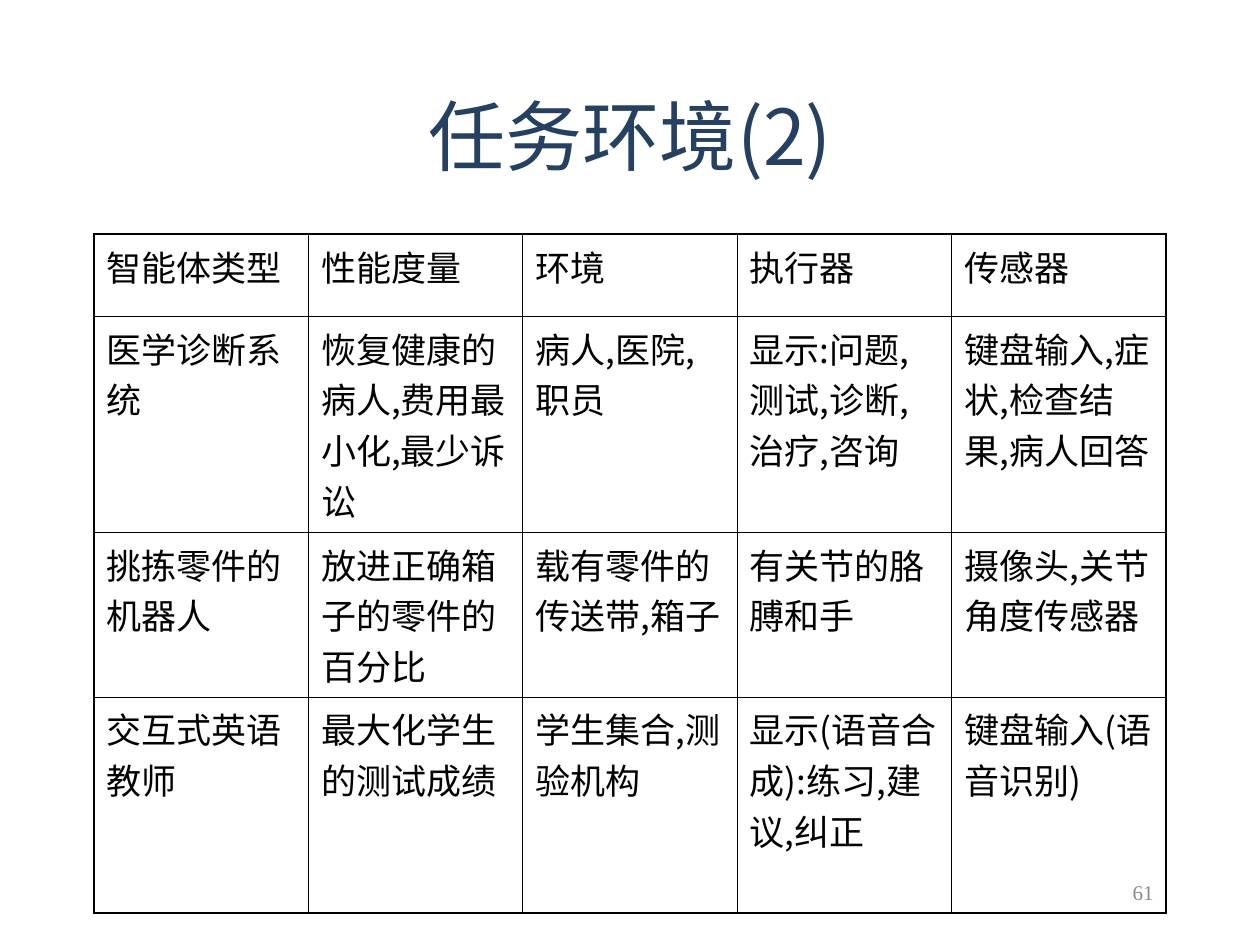
import pptx
import pptx.dml.color
import pptx.enum.text
import pptx.oxml.ns
import pptx.util
from lxml import etree

SCALE = 914400 / 126
CJK_FONT = "Noto Sans CJK SC"
THIN, THICK = 0.45, 1.08
ROW_HEIGHTS = [82, 216, 165, 216]
ROWS = [
    ["智能体类型", "性能度量", "环境", "执行器", "传感器"],
    ["医学诊断系统", "恢复健康的病人,费用最小化,最少诉讼", "病人,医院,职员",
     "显示:问题,测试,诊断,治疗,咨询", "键盘输入,症状,检查结果,病人回答"],
    ["挑拣零件的机器人", "放进正确箱子的零件的百分比", "载有零件的传送带,箱子",
     "有关节的胳膊和手", "摄像头,关节角度传感器"],
    ["交互式英语教师", "最大化学生的测试成绩", "学生集合,测验机构",
     "显示(语音合成):练习,建议,纠正", "键盘输入(语音识别)"],
]


def px(length):
    return pptx.util.Emu(round(length * SCALE))


def color(value):
    return pptx.dml.color.RGBColor.from_string(value)


def add_element(parent, tag, **attributes):
    return etree.SubElement(parent, pptx.oxml.ns.qn(tag), attributes)


def set_text(text_frame, text, size, font_name, font_color, align):
    """Fill the frame with one paragraph, keeping punctuation inside the margin."""
    text_frame.text = text
    text_frame.word_wrap = True
    paragraph = text_frame.paragraphs[0]
    paragraph.alignment = align
    paragraph._p.get_or_add_pPr().set("hangingPunct", "0")
    for run in paragraph.runs:
        run.font.size = pptx.util.Pt(size)
        run.font.name = font_name
        run.font.color.rgb = color(font_color)
        add_element(run.font._element, "a:ea", typeface=font_name)


def add_label(slide, box, text, size, font_name, font_color, align):
    shape = slide.shapes.add_textbox(*map(px, box))
    set_text(shape.text_frame, text, size, font_name, font_color, align)
    shape.text_frame.vertical_anchor = pptx.enum.text.MSO_ANCHOR.MIDDLE


def set_borders(cell, widths):
    """Draw the left, right, top and bottom borders, widths in points."""
    properties = cell._tc.get_or_add_tcPr()
    for index, (side, width) in enumerate(zip("LRTB", widths)):
        line = add_element(properties, f"a:ln{side}", w=str(pptx.util.Pt(width)))
        fill = add_element(line, "a:solidFill")
        add_element(fill, "a:srgbClr", val="000000")
        properties.insert(index, line)


def add_task_table(slide, left, top, width):
    row_count, column_count = len(ROWS), len(ROWS[0])
    frame = slide.shapes.add_table(
        row_count, column_count, px(left), px(top), px(width), px(sum(ROW_HEIGHTS)))
    table = frame.table
    table.first_row = table.horz_banding = False
    for column in table.columns:
        column.width = px(width / column_count)
    for row_index, texts in enumerate(ROWS):
        table.rows[row_index].height = px(ROW_HEIGHTS[row_index])
        for column_index, text in enumerate(texts):
            cell = table.cell(row_index, column_index)
            cell.fill.background()
            set_text(cell.text_frame, text, 20, CJK_FONT, "000000",
                     pptx.enum.text.PP_ALIGN.LEFT)
            on_edge = [column_index == 0, column_index == column_count - 1,
                       row_index == 0, row_index == row_count - 1]
            set_borders(cell, [THICK if edge else THIN for edge in on_edge])


def main():
    presentation = pptx.Presentation()
    presentation.slide_width, presentation.slide_height = px(1260), px(945)
    slide = presentation.slides.add_slide(presentation.slide_layouts[6])
    add_label(slide, (903, 861, 263, 63), "61", 12, "Times New Roman",
              "898989", pptx.enum.text.PP_ALIGN.RIGHT)
    add_label(slide, (95, 84, 1071, 101), "任务环境(2)", 44, CJK_FONT,
              "254061", pptx.enum.text.PP_ALIGN.CENTER)
    add_task_table(slide, 94, 234, 1072)
    presentation.save("out.pptx")


if __name__ == "__main__":
    main()
